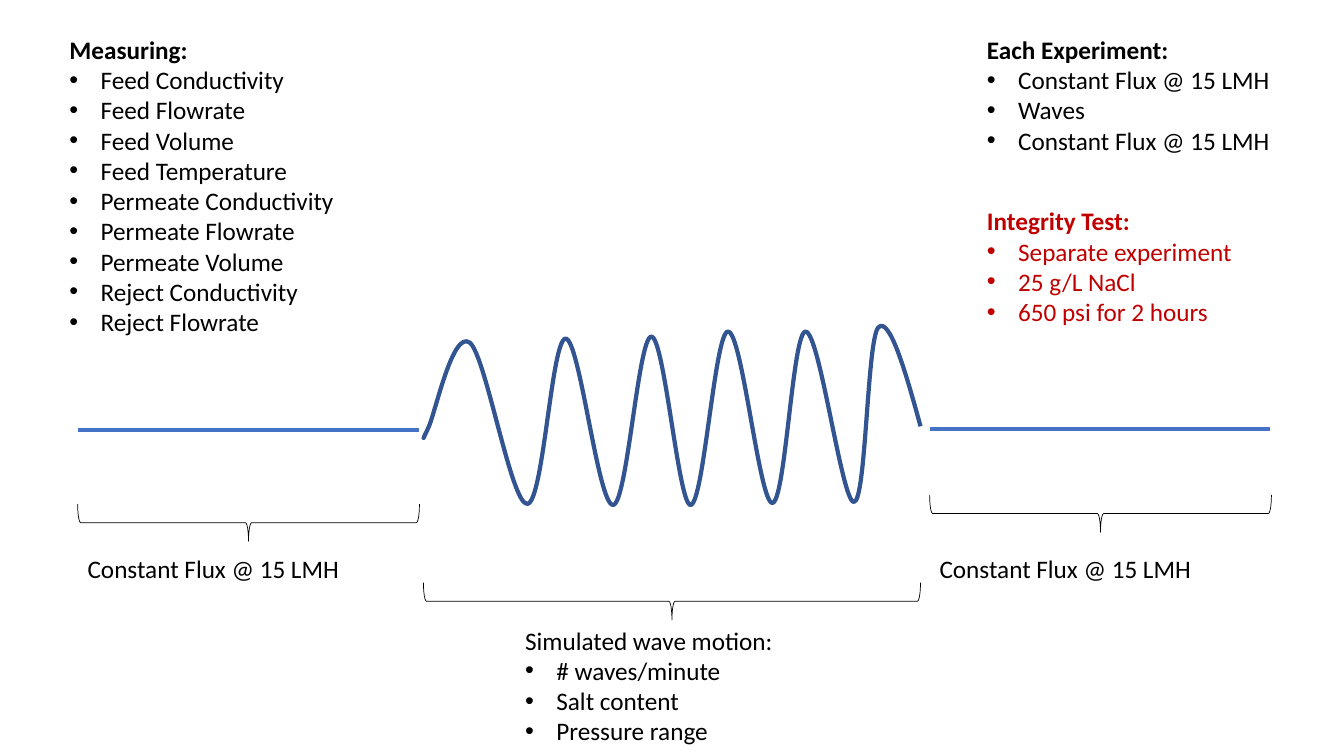
import pptx
import pptx.util
import pptx.dml.color
import pptx.enum.shapes
import pptx.enum.text
import pptx.oxml.ns
from lxml import etree

Inches = pptx.util.Inches
Pt = pptx.util.Pt
RGBColor = pptx.dml.color.RGBColor
qn = pptx.oxml.ns.qn

BLACK = RGBColor(0x00, 0x00, 0x00)
RED = RGBColor(0xC0, 0x00, 0x00)
BLUE = RGBColor(0x44, 0x72, 0xC4)
WAVE_BLUE = RGBColor(0x32, 0x54, 0x91)
FLUX = "Constant Flux @ 15 LMH"


def set_line(shape, color, width):
    shape.line.color.rgb = color
    shape.line.width = Pt(width)


def add_list(left, top, width, height, heading, items=(), color=BLACK, bold=False):
    box = s.shapes.add_textbox(Inches(left), Inches(top), Inches(width), Inches(height))
    tf = box.text_frame
    tf.word_wrap = True
    tf.auto_size = pptx.enum.text.MSO_AUTO_SIZE.SHAPE_TO_FIT_TEXT
    tf.text = "\n".join([heading, *items])
    for i, p in enumerate(tf.paragraphs):
        p.font.name = "Calibri"
        p.font.size = Pt(18)
        p.font.color.rgb = color
        p.font.bold = bold and i == 0
        if i > 0:
            pPr = p._p.get_or_add_pPr()
            pPr.set("marL", str(Inches(0.31)))
            pPr.set("indent", str(-Inches(0.31)))
            pPr.insert(0, etree.Element(qn("a:buFont"), typeface="Arial"))
            pPr.insert(1, etree.Element(qn("a:buChar"), char="•"))


prs = pptx.Presentation()
prs.slide_width = Inches(13.33)
prs.slide_height = Inches(7.5)
s = prs.slides.add_slide(prs.slide_layouts[6])

for left, right, y in [(0.77, 4.16, 4.27), (9.22, 12.6, 4.26)]:
    flux_line = s.shapes.add_connector(
        pptx.enum.shapes.MSO_CONNECTOR.STRAIGHT,
        Inches(left), Inches(y), Inches(right), Inches(y))
    set_line(flux_line, BLUE, 3)
    etree.SubElement(flux_line._element.spPr, qn("a:effectLst"))

wave_curves = [
    ((4.2, 4.35), (4.18, 4.39), (4.25, 4.24)),
    ((4.32, 4.09), (4.49, 3.27), (4.66, 3.4)),
    ((4.82, 3.53), (5.07, 5.01), (5.23, 5)),
    ((5.39, 4.99), (5.47, 3.36), (5.61, 3.36)),
    ((5.75, 3.36), (5.93, 5.01), (6.08, 5.01)),
    ((6.22, 5.01), (6.33, 3.34), (6.46, 3.34)),
    ((6.59, 3.34), (6.73, 5.02), (6.85, 5.01)),
    ((6.98, 5), (7.09, 3.29), (7.22, 3.29)),
    ((7.36, 3.28), (7.53, 4.99), (7.66, 4.99)),
    ((7.79, 4.99), (7.86, 3.29), (7.99, 3.29)),
    ((8.13, 3.29), (8.35, 4.99), (8.47, 4.98)),
    ((8.59, 4.98), (8.6, 3.38), (8.71, 3.25)),
    ((8.82, 3.13), (8.98, 3.68), (9.13, 4.23)),
]
builder = s.shapes.build_freeform(Inches(4.22), Inches(4.3))
builder.add_line_segments(
    [(Inches(x), Inches(y)) for _, _, (x, y) in wave_curves], close=False)
wave = builder.convert_to_shape()
wave.fill.background()
wave.shadow.inherit = False
set_line(wave, WAVE_BLUE, 3)
segments = list(wave._element.iter(qn("a:lnTo")))
for segment, curve in zip(segments, wave_curves):
    bezier = etree.Element(qn("a:cubicBezTo"))
    for x, y in curve:
        etree.SubElement(bezier, qn("a:pt"),
                         x=str(Inches(x) - wave.left), y=str(Inches(y) - wave.top))
    segment.getparent().replace(segment, bezier)

for left, top, length in [(2.28, 3.49, 3.39), (6.48, 3.5, 4.93), (10.73, 3.4, 3.39)]:
    brace = s.shapes.add_shape(
        pptx.enum.shapes.MSO_SHAPE.LEFT_BRACE,
        Inches(left), Inches(top), Inches(0.37), Inches(length))
    brace.rotation = 270
    brace.fill.background()
    brace.shadow.inherit = False
    set_line(brace, BLACK, 0.5)

add_list(9.69, 0.29, 3.05, 1.31, "Each Experiment:", [FLUX, "Waves", FLUX], bold=True)
for left in (0.77, 9.22):
    add_list(left, 5.44, 3.39, 0.4, FLUX)
add_list(5.11, 6.15, 3.39, 1.31, "Simulated wave motion:",
         ["# waves/minute", "Salt content", "Pressure range"])
add_list(0.59, 0.29, 5.72, 3.13, "Measuring:",
         ["Feed Conductivity", "Feed Flowrate", "Feed Volume", "Feed Temperature",
          "Permeate Conductivity", "Permeate Flowrate", "Permeate Volume",
          "Reject Conductivity", "Reject Flowrate"], bold=True)
add_list(9.69, 1.99, 3.05, 1.31, "Integrity Test:",
         ["Separate experiment", "25 g/L NaCl", "650 psi for 2 hours"], RED, bold=True)

prs.save("out.pptx")
